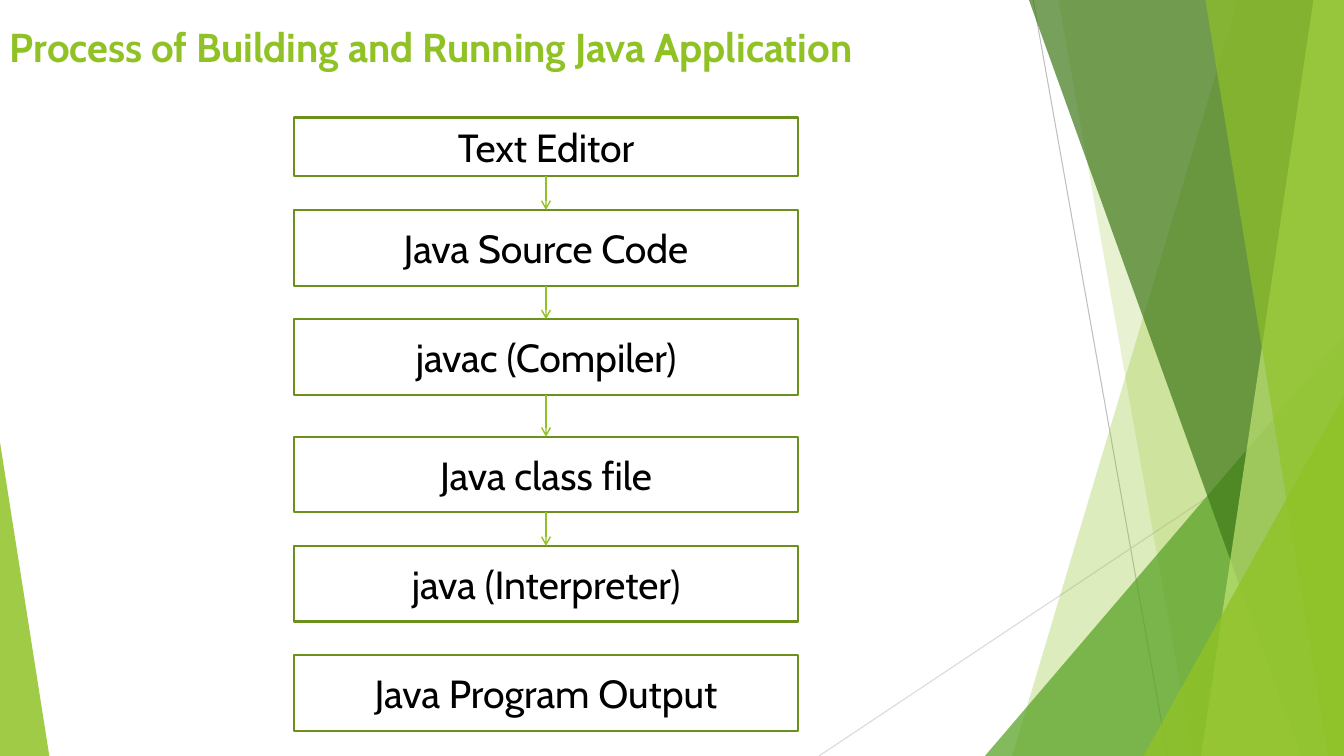
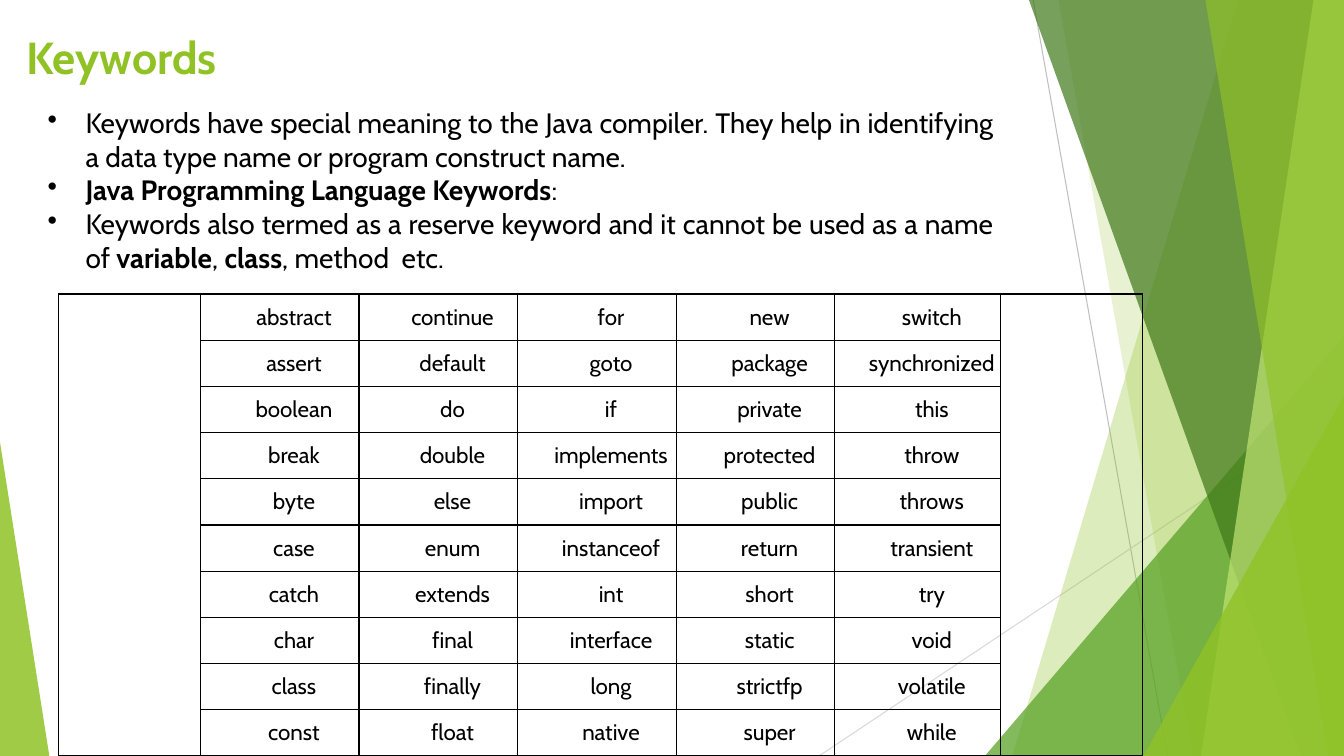
from lxml.etree import SubElement
from pptx import Presentation
from pptx.dml.color import RGBColor
from pptx.enum.shapes import MSO_CONNECTOR, MSO_SHAPE
from pptx.enum.text import MSO_ANCHOR, MSO_AUTO_SIZE, PP_ALIGN
from pptx.oxml.ns import qn
from pptx.util import Pt

PX = 9525  # EMU in one pixel, 96 pixels to the inch
SLIDE_WIDTH, SLIDE_HEIGHT = 1280, 720
FONT = "Cabin"
COLORS = {
    "lime": "90C226",
    "pale": "C0E474",
    "green": "54A021",
    "forest": "3F7819",
    "olive": "6B901C",
    "gray": "BFBFBF",
    "silver": "D9D9D9",
    "black": "000000",
}

# Facets from back to front.
# band: left edge at the top and at the bottom, running to the right slide edge
# corner: left, top, width, apex position; standing on the bottom slide edge
FACETS = [
    ("band", (1179, 964), "lime", 30),
    ("band", (1008, 1136), "lime", 20),
    ("corner", (938, 320, 342, 1), "green", 72),
    ("band", (980, 1239), "forest", 70),
    ("band", (1251, 1144), "pale", 70),
    ("band", (1148, 1265), "lime", 65),
    ("corner", (1089, 377, 191, 1), "lime", 80),
    ("corner", (0, 421, 47, 0), "lime", 85),
]

# Text, height and gap below, and whether an arrow leads on to the next step
STEPS = [
    ("Text Editor", 56, 32, True),
    ("Java Source Code", 72, 32, True),
    ("javac (Compiler)", 72, 40, True),
    ("Java class file", 72, 32, True),
    ("java (Interpreter)", 72, 32, False),
    ("Java Program Output", 72, 0, False),
]

# Each paragraph is a list of (text, bold) runs
KEYWORD_NOTES = [
    [("Keywords have special meaning to the Java compiler. They help in "
      "identifying a data type name or program construct name.", False)],
    [("Java Programming Language Keywords", True), (":", False)],
    [("Keywords also termed as a reserve keyword and it cannot be used as a "
      "name of ", False), ("variable", True), (", ", False), ("class", True),
     (", method  etc.", False)],
]

KEYWORD_COLUMNS = [
    "abstract assert boolean break byte case catch char class const",
    "continue default do double else enum extends final finally float",
    "for goto if implements import instanceof int interface long native",
    "new package private protected public return short static strictfp super",
    "switch synchronized this throw throws transient try void volatile while",
]
COLUMN_WIDTHS = [135, 151, 151, 151, 151, 158, 135]


def px(*lengths):
    return [length * PX for length in lengths]


def color(name):
    return RGBColor.from_string(COLORS[name])


def add_run(paragraph, text, size, color_name="black", bold=False):
    run = paragraph.add_run()
    run.text = text
    run.font.name = FONT
    run.font.size = Pt(size)
    run.font.bold = bold
    run.font.color.rgb = color(color_name)


def add_line(shapes, start, end, color_name, width):
    line = shapes.add_connector(MSO_CONNECTOR.STRAIGHT, *px(*start, *end))
    line.line.color.rgb = color(color_name)
    line.line.width = Pt(width)
    SubElement(line._element.spPr, qn("a:effectLst"))
    return line


def add_facet(shapes, kind, geometry, color_name, opacity):
    if kind == "band":
        top_left, bottom_left = geometry
        builder = shapes.build_freeform(top_left, 0, scale=PX)
        builder.add_line_segments([(SLIDE_WIDTH, 0), (SLIDE_WIDTH, SLIDE_HEIGHT),
                                   (bottom_left, SLIDE_HEIGHT)])
        facet = builder.convert_to_shape()
    else:
        left, top, width, apex = geometry
        facet = shapes.add_shape(MSO_SHAPE.ISOSCELES_TRIANGLE,
                                 *px(left, top, width, SLIDE_HEIGHT - top))
        facet.adjustments[0] = apex
    facet.shadow.inherit = False
    facet.line.fill.background()
    facet.fill.solid()
    facet.fill.fore_color.rgb = color(color_name)
    fill_color = facet._element.spPr.find(".//" + qn("a:srgbClr"))
    SubElement(fill_color, qn("a:alpha")).set("val", str(opacity * 1000))


def add_backdrop(slide):
    shapes = slide.shapes.add_group_shape().shapes
    add_line(shapes, (984, 0), (1112, SLIDE_HEIGHT), "gray", 0.75)
    add_line(shapes, (SLIDE_WIDTH, 387), (780, SLIDE_HEIGHT), "silver", 0.75)
    for facet in FACETS:
        add_facet(shapes, *facet)


def add_text_box(slide, box):
    frame = slide.shapes.add_textbox(*px(*box)).text_frame
    frame.word_wrap = True
    return frame


def add_title(slide, text, box, size):
    frame = add_text_box(slide, box)
    add_run(frame.paragraphs[0], text, size, "lime", bold=True)


def add_step(slide, text, box):
    step = slide.shapes.add_shape(MSO_SHAPE.RECTANGLE, *px(*box))
    step.shadow.inherit = False
    step.fill.background()
    step.line.color.rgb = color("olive")
    step.line.width = Pt(1.5)
    step.text_frame.word_wrap = True
    step.text_frame.vertical_anchor = MSO_ANCHOR.MIDDLE
    paragraph = step.text_frame.paragraphs[0]
    paragraph.alignment = PP_ALIGN.CENTER
    add_run(paragraph, text, 28)
    return step


def add_arrow(slide, upper, lower):
    arrow = add_line(slide.shapes, (0, 0), (0, 0), "lime", 1)
    arrow.begin_connect(upper, 2)
    arrow.end_connect(lower, 0)
    SubElement(arrow.line._get_or_add_ln(), qn("a:tailEnd")).set("type", "arrow")


def add_flow(slide, left, top, width):
    """Stack the steps downwards and join those that lead on."""
    previous = None
    for text, height, gap, leads_on in STEPS:
        step = add_step(slide, text, (left, top, width, height))
        if previous is not None:
            add_arrow(slide, previous, step)
        previous = step if leads_on else None
        top += height + gap


def add_bullets(slide, box, paragraphs, indent=36):
    frame = add_text_box(slide, box)
    frame.auto_size = MSO_AUTO_SIZE.SHAPE_TO_FIT_TEXT
    for index, runs in enumerate(paragraphs):
        paragraph = frame.add_paragraph() if index else frame.paragraphs[0]
        paragraph.alignment = PP_ALIGN.JUSTIFY
        properties = paragraph._p.get_or_add_pPr()
        properties.set("marL", str(indent * PX))
        properties.set("indent", str(-indent * PX))
        SubElement(properties, qn("a:buChar")).set("char", "•")
        for text, bold in runs:
            add_run(paragraph, text, 20, bold=bold)


def style_cell(cell):
    """Thin black border on every side, no fill, no margins."""
    properties = cell._tc.get_or_add_tcPr()
    for side in ("lnL", "lnR", "lnT", "lnB"):
        border = SubElement(properties, qn("a:" + side), w=str(Pt(1)))
        fill = SubElement(border, qn("a:solidFill"))
        SubElement(fill, qn("a:srgbClr"), val=COLORS["black"])
    cell.fill.background()
    cell.margin_left = cell.margin_right = 0
    cell.margin_top = cell.margin_bottom = 0
    cell.vertical_anchor = MSO_ANCHOR.MIDDLE


def add_keyword_table(slide, left, top, row_height, indent=27):
    """Keyword columns between two empty columns, each merged into one cell."""
    columns = [words.split() for words in KEYWORD_COLUMNS]
    row_count, column_count = len(columns[0]), len(COLUMN_WIDTHS)
    table = slide.shapes.add_table(
        row_count, column_count,
        *px(left, top, sum(COLUMN_WIDTHS), row_height * row_count)).table
    table.first_row = table.horz_banding = False
    for column, width in zip(table.columns, COLUMN_WIDTHS):
        column.width = width * PX
    for row in table.rows:
        row.height = row_height * PX
        for cell in row.cells:
            style_cell(cell)
    for column_index, words in enumerate(columns, start=1):
        for row_index, word in enumerate(words):
            paragraph = table.cell(row_index, column_index).text_frame.paragraphs[0]
            paragraph.alignment = PP_ALIGN.CENTER
            paragraph._p.get_or_add_pPr().set("marL", str(indent * PX))
            add_run(paragraph, word, 16)
    for outer in (0, column_count - 1):
        table.cell(0, outer).merge(table.cell(row_count - 1, outer))


def add_slide(presentation):
    slide = presentation.slides.add_slide(presentation.slide_layouts[6])
    add_backdrop(slide)
    return slide


def build_process_slide(presentation):
    slide = add_slide(presentation)
    add_title(slide, "Process of Building and Running Java Application",
              (0, 16, 960, 80), 28.8)
    add_flow(slide, 280, 112, 480)


def build_keywords_slide(presentation):
    slide = add_slide(presentation)
    add_title(slide, "Keywords", (16, 24, 960, 96), 32)
    add_bullets(slide, (36, 96, 920, 171), KEYWORD_NOTES)
    add_keyword_table(slide, 56, 280, 44)


def main():
    presentation = Presentation()
    presentation.slide_width, presentation.slide_height = px(SLIDE_WIDTH, SLIDE_HEIGHT)
    build_process_slide(presentation)
    build_keywords_slide(presentation)
    presentation.save("out.pptx")


if __name__ == "__main__":
    main()
